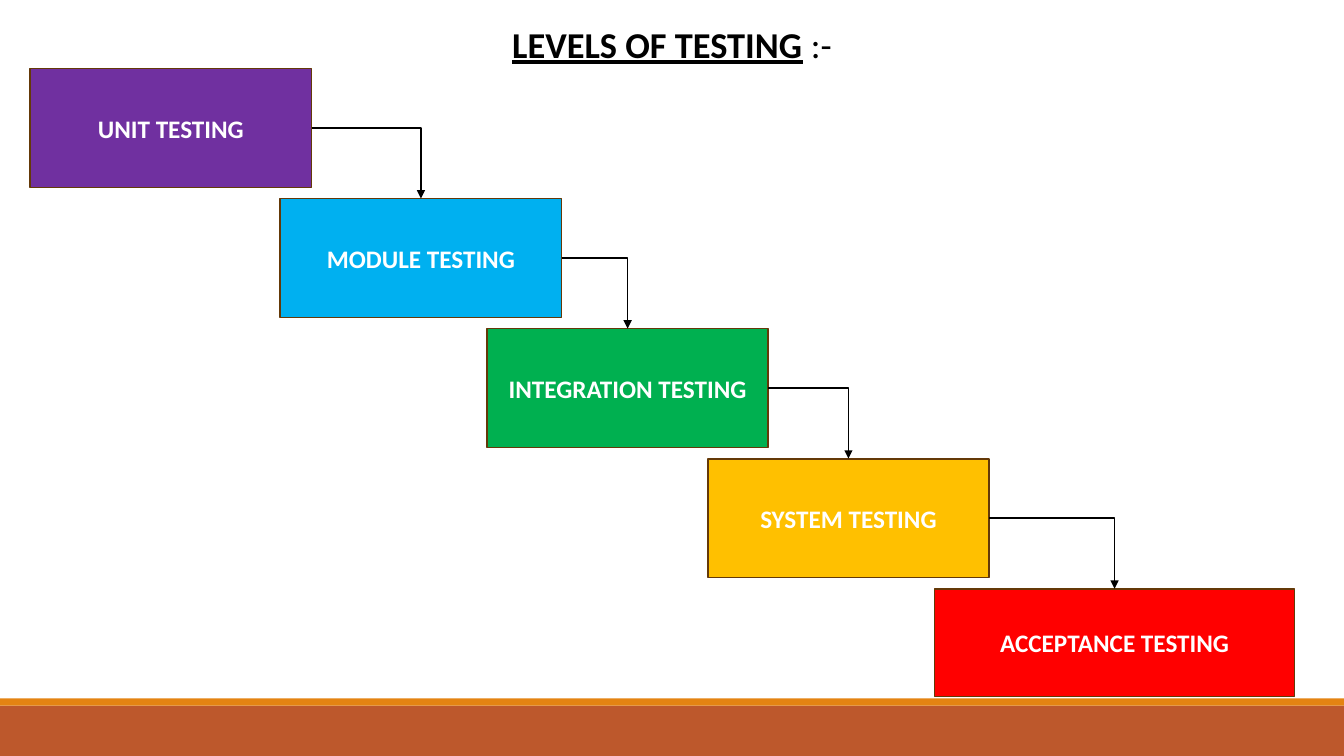
import lxml.etree
import pptx
import pptx.dml.color
import pptx.enum.shapes
import pptx.enum.text
import pptx.oxml.ns
import pptx.util

SLIDE_W, SLIDE_H = 13.33, 7.5
FONT = "Calibri"
TITLE = [("LEVELS OF TESTING", True), (" :-", False)]  # text, emphasised
TITLE_BOX = (SLIDE_W / 4, 0.17, SLIDE_W / 2, 0.54)

STEP_TOP, STEP_PITCH = 0.68, 1.29
STEP_SIZE, LAST_STEP_SIZE = (2.79, 1.18), (3.57, 1.07)
LEVELS = [  # name, fill, left, size
    ("UNIT TESTING", "7030A0", 0.3, STEP_SIZE),
    ("MODULE TESTING", "00B0F0", 2.78, STEP_SIZE),
    ("INTEGRATION TESTING", "00B050", 4.83, STEP_SIZE),
    ("SYSTEM TESTING", "FFC000", 7.02, STEP_SIZE),
    ("ACCEPTANCE TESTING", "FF0000", 9.27, LAST_STEP_SIZE),
]
FOOTER_BANDS = [("BD582C", 7, 0.5), ("E48312", 6.93, 0.07)]  # fill, top, height
RIGHT_SIDE, TOP_SIDE = 3, 0


def color(hex_code):
    return pptx.dml.color.RGBColor.from_string(hex_code)


def inches(*lengths):
    return [pptx.util.Inches(length) for length in lengths]


def write(shape, runs, size, ink):
    """Fill a shape with one centred paragraph of (text, bold, underline) runs."""
    frame = shape.text_frame
    frame.word_wrap = True
    paragraph = frame.paragraphs[0]
    paragraph.alignment = pptx.enum.text.PP_ALIGN.CENTER
    for text, bold, underline in runs:
        run = paragraph.add_run()
        run.text = text
        run.font.name = FONT
        run.font.size = pptx.util.Pt(size)
        run.font.bold = bold
        run.font.underline = underline
        run.font.color.rgb = color(ink)


def add_box(slide, left, top, width, height, fill, outline=None):
    box = slide.shapes.add_shape(pptx.enum.shapes.MSO_SHAPE.RECTANGLE,
                                 *inches(left, top, width, height))
    box.shadow.inherit = False
    box.fill.solid()
    box.fill.fore_color.rgb = color(fill)
    if outline:
        box.line.color.rgb = color(outline)
        box.line.width = pptx.util.Pt(1.25)
    else:
        box.line.fill.background()
    return box


def add_step_arrow(slide, upper, lower):
    """Lead from the right side of one box down to the top of the next."""
    arrow = slide.shapes.add_connector(
        pptx.enum.shapes.MSO_CONNECTOR.ELBOW,
        upper.left + upper.width, upper.top + upper.height // 2,
        lower.left + lower.width // 2, lower.top)
    arrow.begin_connect(upper, RIGHT_SIDE)
    arrow.end_connect(lower, TOP_SIDE)
    arrow.line.color.rgb = color("000000")
    arrow.line.width = pptx.util.Pt(1)
    qn = pptx.oxml.ns.qn
    properties = arrow._element.spPr
    properties.find(qn("a:prstGeom")).set("prst", "bentConnector2")
    lxml.etree.SubElement(properties.find(qn("a:ln")), qn("a:tailEnd"), type="triangle")
    lxml.etree.SubElement(properties, qn("a:effectLst"))


def main():
    deck = pptx.Presentation()
    deck.slide_width, deck.slide_height = inches(SLIDE_W, SLIDE_H)
    slide = deck.slides.add_slide(deck.slide_layouts[6])

    for fill, top, height in FOOTER_BANDS:
        add_box(slide, 0, top, SLIDE_W, height, fill)

    title = slide.shapes.add_textbox(*inches(*TITLE_BOX))
    write(title, [(text, strong, strong) for text, strong in TITLE], 26, "000000")

    steps = []
    for row, (name, fill, left, size) in enumerate(LEVELS):
        step = add_box(slide, left, STEP_TOP + row * STEP_PITCH, *size, fill, "643908")
        step.text_frame.vertical_anchor = pptx.enum.text.MSO_ANCHOR.MIDDLE
        write(step, [(name, True, False)], 18, "FFFFFF")
        steps.append(step)

    for upper, lower in zip(steps, steps[1:]):
        add_step_arrow(slide, upper, lower)

    deck.save("out.pptx")


if __name__ == "__main__":
    main()
